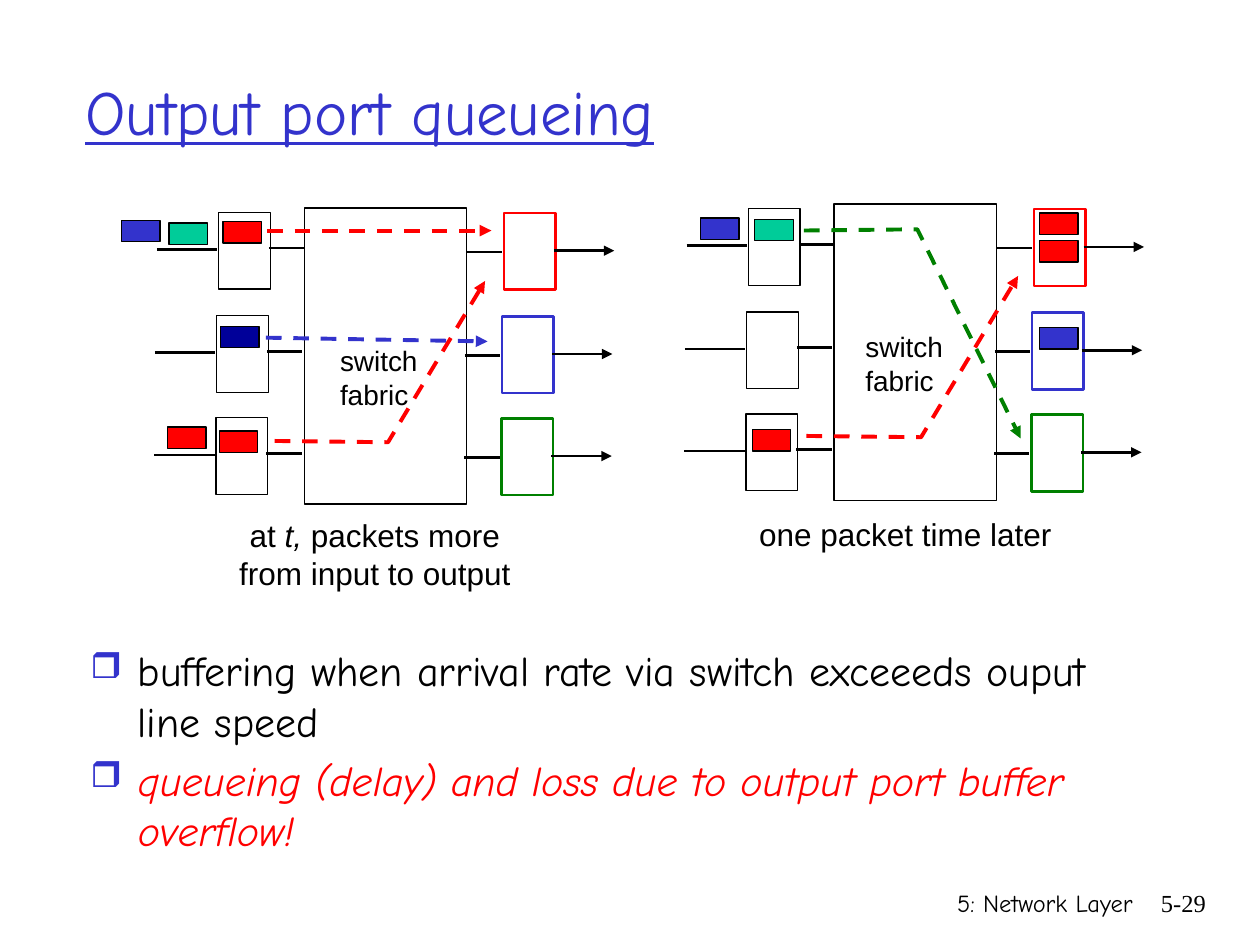
"""Build the slide on output port queueing in a switch."""
from dataclasses import dataclass

from lxml.etree import SubElement
from pptx import Presentation as Deck
from pptx.dml.color import RGBColor as Color
from pptx.enum.dml import MSO_LINE_DASH_STYLE as Dash
from pptx.enum.shapes import MSO_CONNECTOR as Connector, MSO_SHAPE as Preset
from pptx.enum.text import MSO_ANCHOR as Anchor, PP_ALIGN as Align
from pptx.oxml.ns import qn
from pptx.util import Inches, Pt

WIDTH, HEIGHT = Inches(10), Inches(7.5)
COLUMNS, ROWS = 100, 75


@dataclass(frozen=True)
class Theme:
    """Colours, fonts, type sizes and line widths of the slide."""
    black: str = "000000"
    white: str = "FFFFFF"
    red: str = "FF0000"
    blue: str = "3333CC"
    navy: str = "000099"
    green: str = "008000"
    teal: str = "00CC99"
    hand: str = "Comic Neue"
    plain: str = "Arial"
    serif: str = "Times New Roman"
    title: int = 36
    body: int = 24
    caption: int = 18
    label: int = 16
    footer: int = 14
    thin: float = 0.75
    medium: float = 1.5
    thick: float = 2.25


THEME = Theme()
ROW_STEPS = ((0, 0), (-0.15, 8.2), (-0.2, 16.3))


def col(count):
    """Return the horizontal length of a number of grid columns."""
    return int(WIDTH * count / COLUMNS)


def row(count):
    """Return the vertical length of a number of grid rows."""
    return int(HEIGHT * count / ROWS)


def place(left, top, width, height):
    """Turn a grid area into slide lengths."""
    return col(left), row(top), col(width), row(height)


def add_bullet(para):
    """Give a paragraph a hanging box bullet."""
    props = para._p.get_or_add_pPr()
    props.set("marL", str(col(3.75)))
    props.set("indent", str(-col(3.75)))
    SubElement(SubElement(props, qn("a:buClr")), qn("a:srgbClr"), val=THEME.blue)
    SubElement(props, qn("a:buSzPct"), val="85000")
    SubElement(props, qn("a:buChar"), char="❒")


def add_text(slide, area, paras, size, font=THEME.plain, color=THEME.black,
             align=Align.LEFT, anchor=Anchor.TOP, wrap=True, bullet=False,
             gap=0, underline=False):
    """Add a text box whose paragraphs are lists of (text, style) spans."""
    frame = slide.shapes.add_textbox(*place(*area)).text_frame
    frame.word_wrap, frame.vertical_anchor = wrap, anchor
    for index, spans in enumerate(paras):
        para = frame.add_paragraph() if index else frame.paragraphs[0]
        para.alignment = align
        if index and gap:
            para.space_before = Pt(gap)
        if bullet:
            add_bullet(para)
        for words, style in spans:
            span = para.add_run()
            span.text = words
            span.font.name, span.font.size = font, Pt(size)
            span.font.underline = underline
            span.font.italic = style.get("italic", False)
            span.font.color.rgb = Color.from_string(style.get("color", color))


def add_box(slide, area, fill=THEME.white, line=THEME.black, weight=THEME.thin):
    """Add a filled and outlined rectangle."""
    box = slide.shapes.add_shape(Preset.RECTANGLE, *place(*area))
    box.shadow.inherit = False
    box.fill.solid()
    box.fill.fore_color.rgb = Color.from_string(fill)
    box.line.color.rgb = Color.from_string(line)
    box.line.width = Pt(weight)


def style_line(shape, color, weight, dashed, arrow):
    """Set the stroke and arrowhead of a line or open path."""
    shape.line.color.rgb = Color.from_string(color)
    shape.line.width = Pt(weight)
    if dashed:
        shape.line.dash_style = Dash.DASH
    if arrow:
        SubElement(shape.line._get_or_add_ln(), qn("a:tailEnd"), type="triangle")


def add_line(slide, start, end, color=THEME.black, weight=THEME.medium,
             dashed=False, arrow=False):
    """Add a straight line between two grid points."""
    link = slide.shapes.add_connector(
        Connector.STRAIGHT, col(start[0]), row(start[1]), col(end[0]), row(end[1]))
    style_line(link, color, weight, dashed, arrow)
    SubElement(link._element.spPr, qn("a:effectLst"))


def add_route(slide, points, color):
    """Add a dashed, bent arrow through grid points."""
    spots = [(col(x), row(y)) for x, y in points]
    builder = slide.shapes.build_freeform(*spots[0])
    builder.add_line_segments(spots[1:], close=False)
    route = builder.convert_to_shape()
    route.shadow.inherit = False
    route.fill.background()
    style_line(route, color, THEME.thick, True, True)


def add_switch(slide, left, top):
    """Add a switch fabric with three input and three output ports."""
    add_box(slide, (left, top, 12.9, 23.5))
    outputs = (THEME.red, THEME.blue, THEME.green)
    for (shift, drop), color in zip(ROW_STEPS, outputs):
        x, y = left + shift, top + drop
        add_box(slide, (x - 6.8, y + 0.35, 4.1, 6.1))
        add_box(slide, (x + 15.85, y + 0.4, 4.1, 6.1), line=color, weight=THEME.medium)
        for begin, length, level, arrow in ((12.9, 2.8, 3.5, False),
                                            (-2.8, 2.8, 3.2, False),
                                            (-11.7, 4.8, 3.3, False),
                                            (19.8, 4.8, 3.4, True)):
            add_line(slide, (x + begin, y + level), (x + begin + length, y + level),
                     arrow=arrow)


def add_packets(slide, packets):
    """Add small packets given as left, top and fill."""
    for left, top, fill in packets:
        add_box(slide, (left, top, 3.05, 1.7), fill=fill)


def add_diagrams(slide):
    """Add the switch at time t and one packet time later."""
    add_switch(slide, 24.15, 16.5)
    add_switch(slide, 66.2, 16.2)
    add_packets(slide, (
        (9.65, 17.5, THEME.blue), (13.4, 17.7, THEME.teal), (17.7, 17.6, THEME.red),
        (17.5, 25.9, THEME.navy), (13.3, 33.9, THEME.red), (17.4, 34.2, THEME.red),
        (55.6, 17.3, THEME.blue), (59.9, 17.4, THEME.teal), (59.7, 34.1, THEME.red),
        (82.5, 16.9, THEME.red), (82.5, 19.1, THEME.red), (82.5, 26, THEME.blue)))
    add_line(slide, (21.2, 18.3), (39, 18.3), THEME.red, THEME.thick, True, True)
    add_line(slide, (21.1, 26.8), (38.7, 27.1), THEME.blue, THEME.thick, True, True)
    add_route(slide, ((21.8, 35), (30.8, 35.1), (38.5, 22.3)), THEME.red)
    add_route(slide, ((64, 34.6), (73.1, 34.7), (80.8, 21.9)), THEME.red)
    add_route(slide, ((63.8, 18.3), (72.8, 18.2), (81, 34.8)), THEME.green)
    for left, top in ((26, 26.8), (67.7, 25.7)):
        add_text(slide, (left, top, 8.2, 6.4), [[("switch", {})], [("fabric", {})]],
                 THEME.label, wrap=False)
    add_text(slide, (16.3, 40.5, 26.9, 7),
             [[("at ", {}), ("t,", {"italic": True}), (" packets more", {})],
              [("from input to output", {})]], THEME.caption, align=Align.CENTER)
    add_text(slide, (58.4, 40.4, 26.9, 4), [[("one packet time later", {})]],
             THEME.caption, align=Align.CENTER)


def main():
    """Build and save the deck."""
    deck = Deck()
    deck.slide_width, deck.slide_height = WIDTH, HEIGHT
    page = deck.slides.add_slide(deck.slide_layouts[6])
    add_text(page, (5.8, 2.5, 85, 12.5), [[("Output port queueing", {})]], THEME.title,
             THEME.hand, THEME.blue, anchor=Anchor.MIDDLE, underline=True)
    add_text(page, (6.2, 50.7, 85, 13), [
        [("buffering when arrival rate via switch exceeeds ouput line speed", {})],
        [("queueing (delay) and loss due to output port buffer overflow!",
          {"color": THEME.red, "italic": True})]],
        THEME.body, THEME.hand, bullet=True, gap=4.8)
    add_diagrams(page)
    add_text(page, (59.2, 70, 31.7, 5), [[("5: Network Layer", {})]],
             THEME.footer, THEME.hand, align=Align.RIGHT)
    add_text(page, (89.3, 70, 7.4, 5), [[("5-29", {})]],
             THEME.footer, THEME.serif, align=Align.RIGHT)
    deck.save("out.pptx")


if __name__ == "__main__":
    main()
